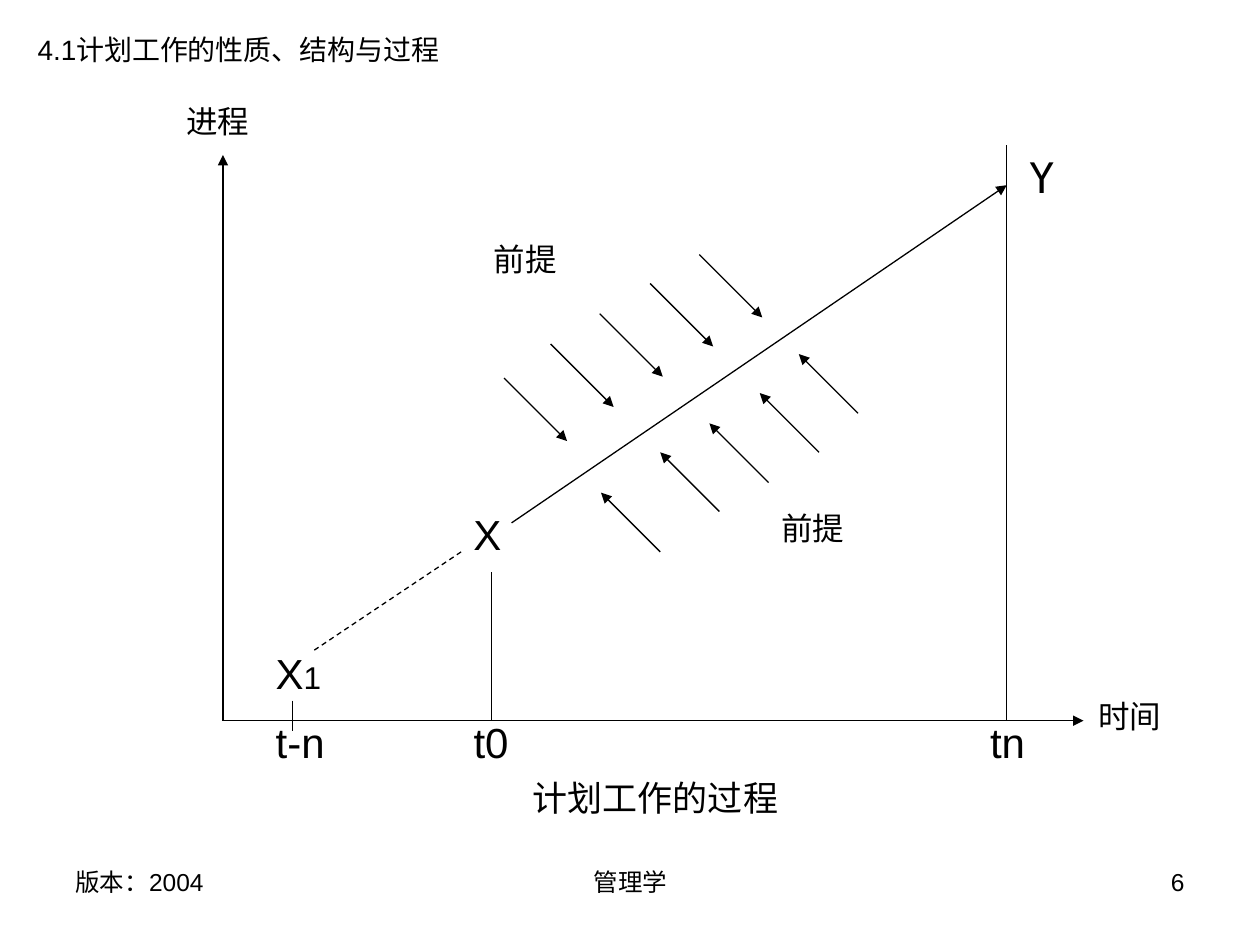
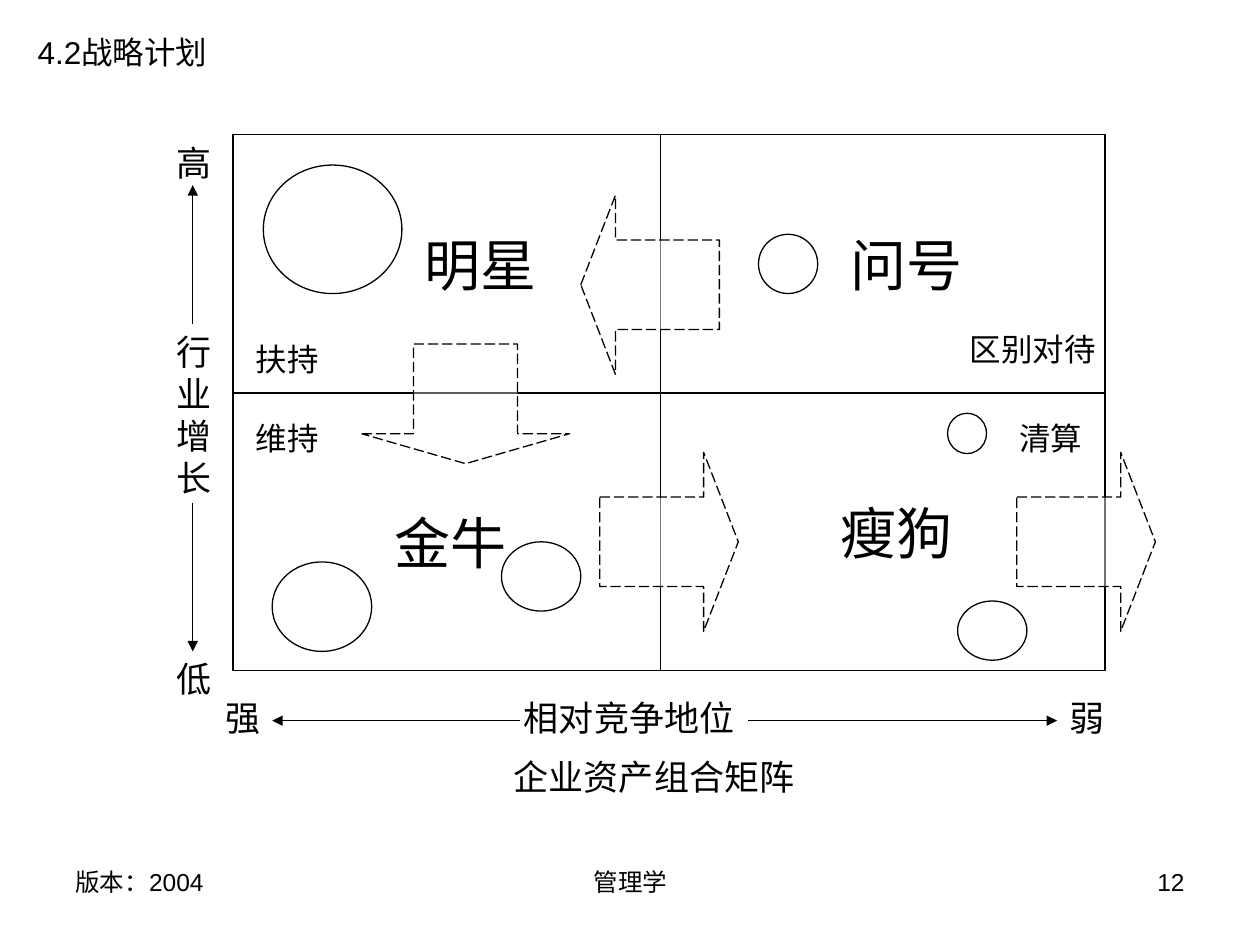
"""Build two management slides: the planning process and the portfolio matrix."""
from lxml import etree
from pptx import Presentation
from pptx.dml.color import RGBColor
from pptx.enum.dml import MSO_LINE
from pptx.enum.shapes import MSO_CONNECTOR, MSO_SHAPE
from pptx.enum.text import PP_ALIGN
from pptx.oxml.ns import qn
from pptx.util import Inches, Pt

LEFT, CENTER, RIGHT = PP_ALIGN.LEFT, PP_ALIGN.CENTER, PP_ALIGN.RIGHT
STRAIGHT = MSO_CONNECTOR.STRAIGHT
DASH, LONG_DASH = MSO_LINE.DASH, MSO_LINE.LONG_DASH
RECTANGLE, OVAL = MSO_SHAPE.RECTANGLE, MSO_SHAPE.OVAL
LEFT_ARROW, DOWN_ARROW, RIGHT_ARROW = MSO_SHAPE.LEFT_ARROW, MSO_SHAPE.DOWN_ARROW, MSO_SHAPE.RIGHT_ARROW
BLACK, WHITE = "000000", "FFFFFF"
FONT, CJK_FONT, MONO_FONT = "Arial", "Noto Sans CJK SC", "DejaVu Sans Mono"
LINE_WIDTH = Pt(0.75)
color = RGBColor.from_string


def add_label(slide, text, x, y, width, height, size, align=LEFT, font=FONT):
    frame = slide.shapes.add_textbox(Inches(x), Inches(y), Inches(width), Inches(height)).text_frame
    frame.word_wrap = True
    paragraph = frame.paragraphs[0]
    paragraph.text = text
    paragraph.alignment = align
    paragraph.font.size = Pt(size)
    paragraph.font.name = font
    paragraph.font.color.rgb = color(BLACK)
    return paragraph


def add_line(slide, start, end, arrow=False, dash=None):
    line = slide.shapes.add_connector(STRAIGHT, *(Inches(v) for v in (*start, *end)))
    line.line.color.rgb = color(BLACK)
    line.line.width = LINE_WIDTH
    if dash:
        line.line.dash_style = dash
    if arrow:
        etree.SubElement(line.line._get_or_add_ln(), qn("a:tailEnd"), type="triangle")
    etree.SubElement(line._element.spPr, qn("a:effectLst"))


prs = Presentation()
prs.slide_width, prs.slide_height = Inches(10), Inches(7.5)
process = prs.slides.add_slide(prs.slide_layouts[6])
matrix = prs.slides.add_slide(prs.slide_layouts[6])

for slide, number in ((process, "6"), (matrix, "12")):
    slide.background.fill.solid()
    slide.background.fill.fore_color.rgb = color(WHITE)
    add_label(slide, "版本：2004", 0.5, 6.83, 2.33, 0.52, 14)
    add_label(slide, "管理学", 3.42, 6.83, 3.17, 0.52, 14, CENTER)
    add_label(slide, number, 7.17, 6.83, 2.33, 0.52, 14, RIGHT)

add_label(process, "4.1计划工作的性质、结构与过程", 0.2, 0.21, 3.47, 0.37, 16)

origin = (1.77, 5.72)
add_line(process, origin, (1.77, 1.23), arrow=True)
add_line(process, origin, (8.6, 5.72), arrow=True)
add_line(process, (2.32, 5.56), (2.32, 5.8))
add_line(process, (3.9, 4.54), (3.9, 5.72))
add_line(process, (7.99, 5.72), (7.99, 1.15))
add_line(process, (3.66, 4.38), (2.48, 5.17), dash=DASH)
add_line(process, (4.06, 4.15), (7.99, 1.47), arrow=True)

premises_above = [(4, 3), (4.37, 2.73), (4.76, 2.49), (5.16, 2.25), (5.55, 2.02)]
premises_below = [(5.24, 4.38), (5.71, 4.06), (6.1, 3.83), (6.5, 3.59), (6.81, 3.28)]
for starts, step in ((premises_above, 0.5), (premises_below, -0.47)):
    for x, y in starts:
        add_line(process, (x, y), (x + step, y + step), arrow=True)

for text, x, y, width in (
    ("进程", 1.38, 0.76, 0.79),
    ("时间", 8.62, 5.48, 0.86),
    ("前提", 3.82, 1.86, 0.71),
    ("前提", 6.1, 3.99, 0.71),
):
    add_label(process, text, x, y, width, 0.4, 18)

for text, x, y, width in (
    ("X", 3.66, 3.99, 0.47),
    ("t-n", 2.09, 5.64, 0.63),
    ("t0", 3.66, 5.64, 0.55),
    ("tn", 7.76, 5.64, 0.63),
):
    add_label(process, text, x, y, width, 0.5, 24)
add_label(process, "Y", 8.07, 1.15, 0.55, 0.5, 24, font=MONO_FONT)
past_state = add_label(process, "X", 2.09, 5.09, 0.63, 0.5, 24)
past_index = past_state.add_run()
past_index.text = "1"
past_index.font.size = Pt(18)
add_label(process, "计划工作的过程", 4.13, 6.11, 2.2, 0.43, 20, font=CJK_FONT)

add_label(matrix, "4.2战略计划", 0.2, 0.21, 1.55, 0.4, 18)

for kind, x, y, width, height, opacity in (
    (RECTANGLE, 1.85, 1.07, 6.92, 4.25, 100),
    (OVAL, 2.09, 1.31, 1.1, 1.02, 29),
    (OVAL, 2.16, 4.46, 0.79, 0.71, 100),
    (OVAL, 6.02, 1.86, 0.47, 0.47, 100),
    (OVAL, 7.52, 3.28, 0.31, 0.32, 100),
    (OVAL, 7.6, 4.77, 0.55, 0.47, 100),
    (OVAL, 3.98, 4.3, 0.63, 0.55, 27),
    (LEFT_ARROW, 4.61, 1.55, 1.1, 1.42, 46),
    (DOWN_ARROW, 2.87, 2.73, 1.65, 0.95, 37),
    (RIGHT_ARROW, 4.76, 3.59, 1.1, 1.42, 46),
    (RIGHT_ARROW, 8.07, 3.59, 1.1, 1.42, 45),
):
    shape = matrix.shapes.add_shape(kind, Inches(x), Inches(y), Inches(width), Inches(height))
    shape.shadow.inherit = False
    shape.fill.solid()
    shape.fill.fore_color.rgb = color(WHITE)
    shape.line.color.rgb = color(BLACK)
    shape.line.width = LINE_WIDTH
    if opacity < 100:
        fill = shape._element.spPr.find(qn("a:solidFill"))
        etree.SubElement(fill[0], qn("a:alpha"), val=str(opacity * 1000))
    if kind == RECTANGLE:
        add_line(matrix, (1.85, 3.12), (8.77, 3.12))
        add_line(matrix, (5.24, 1.07), (5.24, 5.32))
    elif kind != OVAL:
        shape.adjustments[0], shape.adjustments[1] = 0.5, 0.25
        shape.line.dash_style = LONG_DASH

for text, x, y, width, height, size in (
    ("明星", 3.27, 1.78, 1.1, 0.63, 32),
    ("问号", 6.65, 1.78, 1.18, 0.63, 32),
    ("金牛", 3.03, 3.99, 1.18, 0.63, 32),
    ("瘦狗", 6.57, 3.91, 1.18, 0.63, 32),
    ("扶持", 1.93, 2.65, 0.71, 0.4, 18),
    ("维持", 1.93, 3.28, 0.71, 0.4, 18),
    ("区别对待", 7.6, 2.57, 1.26, 0.4, 18),
    ("清算", 7.99, 3.28, 0.71, 0.4, 18),
    ("高", 1.3, 1.07, 0.47, 0.43, 20),
    ("行业增长", 1.3, 2.57, 0.47, 1.43, 20),
    ("低", 1.3, 5.17, 0.47, 0.43, 20),
    ("强", 1.69, 5.48, 0.47, 0.43, 20),
    ("相对竞争地位", 4.06, 5.48, 2.28, 0.43, 20),
    ("弱", 8.39, 5.48, 0.47, 0.43, 20),
    ("企业资产组合矩阵", 3.98, 5.95, 2.44, 0.43, 20),
):
    add_label(matrix, text, x, y, width, height, size)

for start, end in (
    ((5.94, 5.72), (8.39, 5.72)),
    ((4.13, 5.72), (2.16, 5.72)),
    ((1.53, 2.57), (1.53, 1.47)),
    ((1.53, 3.99), (1.53, 5.17)),
):
    add_line(matrix, start, end, arrow=True)

prs.save("out.pptx")
